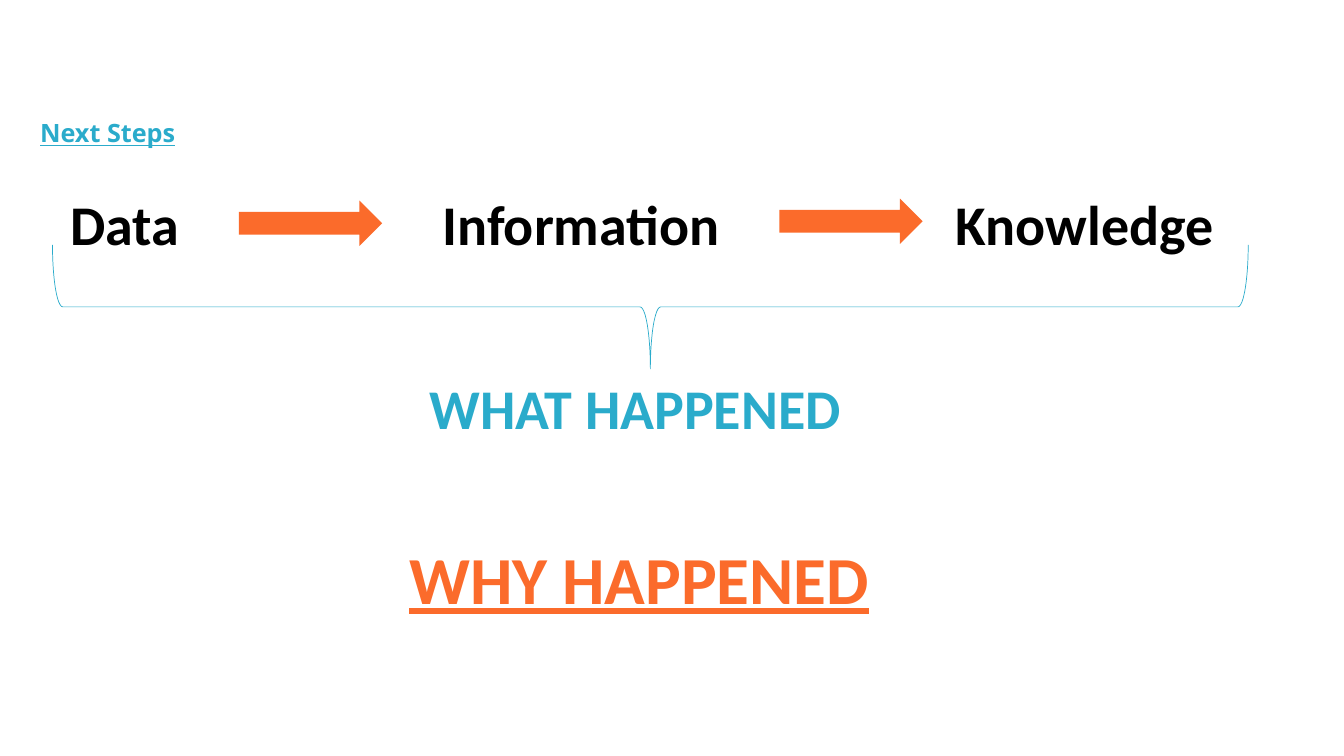
import pptx
import pptx.dml.color
import pptx.enum.shapes
import pptx.enum.text
import pptx.util
from pptx.util import Inches

TEAL = "2AABCB"
ORANGE = "FB6B2B"
BLACK = "000000"
SHAPES = pptx.enum.shapes.MSO_SHAPE
ANCHORS = pptx.enum.text.MSO_ANCHOR


def color(hex_string):
    return pptx.dml.color.RGBColor.from_string(hex_string)


def add_label(page, words, left, top, width, height, hue, size=40,
              font="Calibri", underline=False, anchor=ANCHORS.TOP, spacing=1.0):
    box = page.shapes.add_textbox(Inches(left), Inches(top), Inches(width), Inches(height))
    frame = box.text_frame
    frame.word_wrap = True
    frame.vertical_anchor = anchor
    para = frame.paragraphs[0]
    para.line_spacing = spacing
    span = para.add_run()
    span.text = words
    span.font.name = font
    span.font.size = pptx.util.Pt(size)
    span.font.bold = True
    span.font.underline = underline
    span.font.color.rgb = color(hue)


def add_arrow(page, left, top):
    arrow = page.shapes.add_shape(
        SHAPES.RIGHT_ARROW, Inches(left), Inches(top), Inches(1.42), Inches(0.45))
    arrow.shadow.inherit = False
    arrow.fill.solid()
    arrow.fill.fore_color.rgb = color(ORANGE)
    arrow.line.fill.background()


def add_brace(page, left, top, width, height):
    """Add a brace that opens upward, turned a quarter about its centre."""
    brace = page.shapes.add_shape(
        SHAPES.RIGHT_BRACE,
        Inches(left + (width - height) / 2), Inches(top + (height - width) / 2),
        Inches(height), Inches(width))
    brace.rotation = 90
    brace.shadow.inherit = False
    brace.fill.background()
    brace.line.color.rgb = color(TEAL)
    brace.line.width = pptx.util.Pt(0.5)


def main():
    deck = pptx.Presentation()
    deck.slide_width = Inches(13.33)
    deck.slide_height = Inches(7.5)
    page = deck.slides.add_slide(deck.slide_layouts[6])

    # Heading
    add_label(page, "Next Steps", 0.3, 1.07, 7.14, 0.45, TEAL, size=18,
              font="Open Sans", underline=True, anchor=ANCHORS.BOTTOM, spacing=0.9)

    # Chain from data to knowledge
    for words, left, width in (("Data", 0.6, 1.56), ("Information", 4.29, 3.51),
                               ("Knowledge", 9.38, 3.51)):
        add_label(page, words, left, 1.83, width, 0.77, BLACK)
    add_arrow(page, 2.37, 1.99)
    add_arrow(page, 7.73, 1.97)

    # Questions the chain leads to
    add_brace(page, 0.52, 2.43, 11.86, 1.23)
    add_label(page, "WHAT HAPPENED", 4.16, 3.66, 4.58, 0.77, TEAL)
    add_label(page, "WHY HAPPENED", 3.96, 5.28, 4.99, 0.91, ORANGE, size=48, underline=True)

    deck.save("out.pptx")


main()
